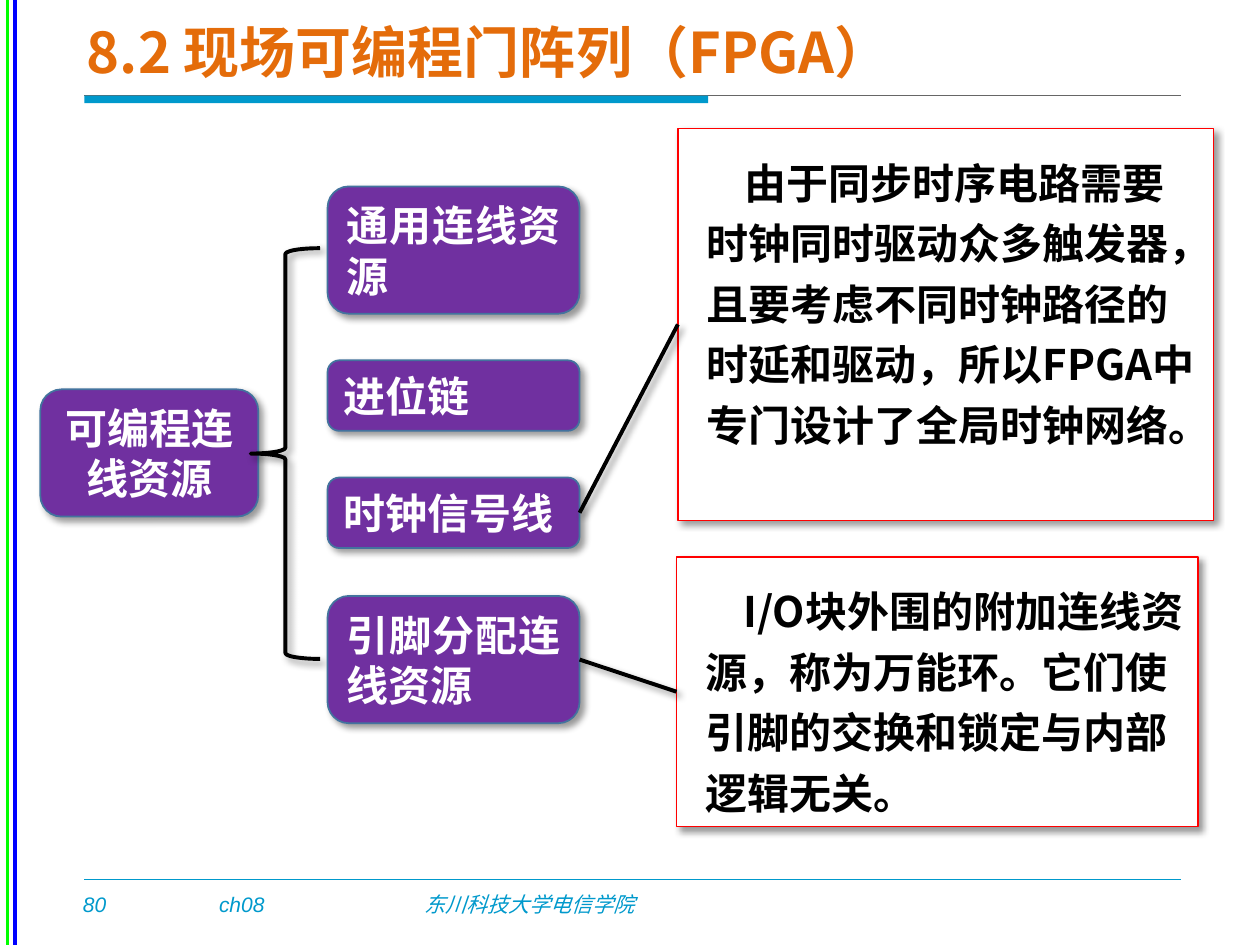
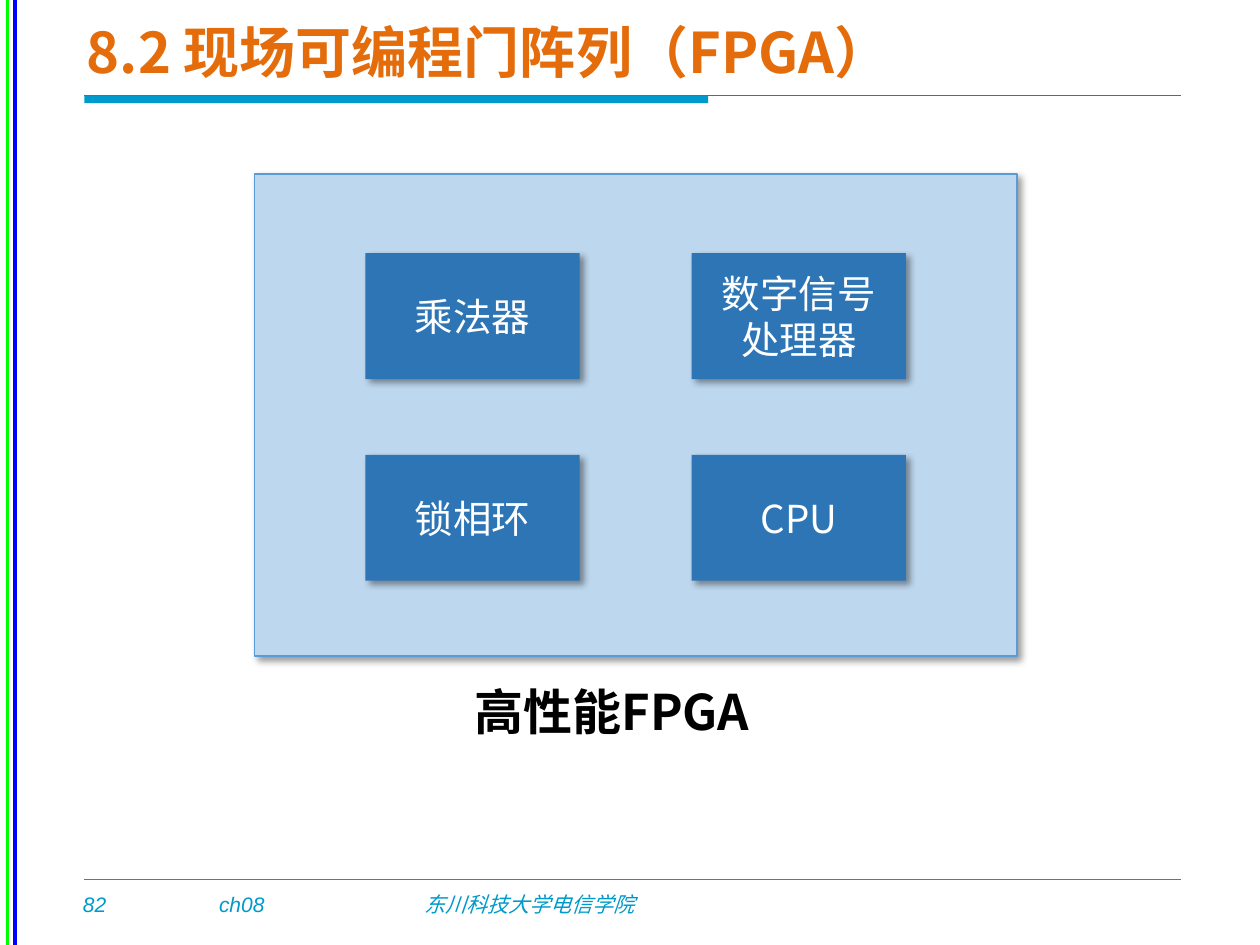
from lxml import etree
from pptx import Presentation
from pptx.dml.color import RGBColor
from pptx.enum.shapes import MSO_CONNECTOR, MSO_SHAPE
from pptx.enum.text import MSO_ANCHOR, MSO_AUTO_SIZE, PP_ALIGN
from pptx.oxml import parse_xml
from pptx.oxml.ns import nsdecls, qn
from pptx.util import Inches, Pt

STRAIGHT = MSO_CONNECTOR.STRAIGHT
RECT, ROUND = MSO_SHAPE.RECTANGLE, MSO_SHAPE.ROUNDED_RECTANGLE
PROCESS, BRACE = MSO_SHAPE.FLOWCHART_PROCESS, MSO_SHAPE.LEFT_BRACE
TOP, MIDDLE = MSO_ANCHOR.TOP, MSO_ANCHOR.MIDDLE
LEFT, CENTER, JUSTIFY = PP_ALIGN.LEFT, PP_ALIGN.CENTER, PP_ALIGN.JUSTIFY
FIT = MSO_AUTO_SIZE.SHAPE_TO_FIT_TEXT
SITE_LEFT, SITE_RIGHT = 1, 3

COLORS = {
    "title": "E46C0A", "accent": "0099CC", "rule": "666666",
    "blue": "0000FF", "green": "00FF00", "red": "FF0000",
    "purple": "7030A0", "outline": "43739E", "black": "000000",
    "white": "FFFFFF", "panel": "BDD7EE", "panel_line": "5B9BD5",
    "block": "2E75B6",
}
CJK, LATIN = "Noto Sans CJK SC", "Arial"
TITLE = "8.2 现场可编程门阵列（FPGA）"
CHAPTER, SCHOOL = "ch08", "东川科技大学电信学院"
SHADOW = (
    f'<a:effectLst {nsdecls("a")}><a:outerShdw blurRad="{Pt(4)}" '
    f'dist="{Pt(3)}" dir="2700000" algn="tl" rotWithShape="0">'
    '<a:srgbClr val="000000"><a:alpha val="40000"/></a:srgbClr>'
    '</a:outerShdw></a:effectLst>'
)


def rgb(name):
    return RGBColor.from_string(COLORS[name])


class Deck:
    def __init__(self):
        self.prs = Presentation()
        self.prs.slide_width, self.prs.slide_height = Inches(10), Inches(7.5)
        self.s = None

    def slide(self, number):
        self.s = self.prs.slides.add_slide(self.prs.slide_layouts[6])
        # Stripes at the left edge
        self.line(0.12, 0, 0.12, 7.5, "blue", 2)
        self.line(0.06, 0, 0.06, 7.5, "green", 2)
        # Title and its rule
        self.line(0.67, 0.76, 9.37, 0.76, "rule", 0.5)
        self.shape(RECT, 0.67, 0.76, 4.95, 0.06, "accent", shadow=False)
        self.text(TITLE, 0.59, 0.05, 7.21, 0.71, 32, "title",
                  bold=True, anchor=MIDDLE)
        # Footer
        self.line(0.67, 6.98, 9.37, 6.98, "accent", 1)
        footer = ((str(number), 0.56, 0.41), (CHAPTER, 1.64, 0.8),
                  (SCHOOL, 3.27, 2.65))
        for words, x, w in footer:
            self.text(words, x, 7.03, w, 0.3, 12, "accent", font=LATIN,
                      italic=True)

    def effects(self, element, shadow):
        """Give a shape or connector the soft shadow, or none."""
        sp_pr = element._element.spPr
        for old in sp_pr.findall(qn("a:effectLst")):
            sp_pr.remove(old)
        if shadow:
            sp_pr.append(parse_xml(SHADOW))
        else:
            etree.SubElement(sp_pr, qn("a:effectLst"))

    def line(self, x1, y1, x2, y2, color, width, shadow=False):
        cxn = self.s.shapes.add_connector(
            STRAIGHT, Inches(x1), Inches(y1), Inches(x2), Inches(y2))
        cxn.line.color.rgb = rgb(color)
        cxn.line.width = Pt(width)
        self.effects(cxn, shadow)
        return cxn

    def link(self, source, target):
        """Join the right side of one box to the left side of another."""
        cxn = self.line(0, 0, 1, 1, "black", 2.25, shadow=True)
        cxn.begin_connect(source, SITE_RIGHT)
        cxn.end_connect(target, SITE_LEFT)

    def shape(self, kind, x, y, w, h, fill=None, line=None, width=1,
              shadow=True):
        sp = self.s.shapes.add_shape(
            kind, Inches(x), Inches(y), Inches(w), Inches(h))
        sp.shadow.inherit = False
        if fill:
            sp.fill.solid()
            sp.fill.fore_color.rgb = rgb(fill)
        else:
            sp.fill.background()
        if line:
            sp.line.color.rgb = rgb(line)
            sp.line.width = Pt(width)
        else:
            sp.line.fill.background()
        self.effects(sp, shadow)
        return sp

    def label(self, sp, words, size, color, font=CJK, bold=False,
              italic=False, align=LEFT, anchor=TOP):
        tf = sp.text_frame
        tf.word_wrap = True
        tf.vertical_anchor = anchor
        p = tf.paragraphs[0]
        p.alignment = align
        r = p.add_run()
        r.text = words
        r.font.size, r.font.name = Pt(size), font
        r.font.bold, r.font.italic = bold, italic
        r.font.color.rgb = rgb(color)
        etree.SubElement(r._r.get_or_add_rPr(), qn("a:ea"), typeface=CJK)
        return p

    def text(self, words, x, y, w, h, size, color, **style):
        sp = self.s.shapes.add_textbox(
            Inches(x), Inches(y), Inches(w), Inches(h))
        return self.label(sp, words, size, color, **style)

    def resource(self, words, x, y, w, h, align=JUSTIFY):
        sp = self.shape(ROUND, x, y, w, h, "purple", "outline")
        self.label(sp, words, 24, "white", bold=True, align=align,
                   anchor=MIDDLE)
        sp.text_frame.auto_size = FIT
        return sp

    def note(self, words, x, y, w, h):
        sp = self.shape(PROCESS, x, y, w, h, "white", "red")
        p = self.label(sp, words, 24, "black", bold=True)
        tf = sp.text_frame
        tf.margin_left, tf.margin_right = Inches(0.23), Inches(0.08)
        tf.margin_top = Inches(0.15)
        p.line_spacing, p.space_before = 1.2, Pt(12)
        p._p.get_or_add_pPr().set("indent", str(Inches(0.3)))
        return sp

    def block(self, words, x, y):
        sp = self.shape(RECT, x, y, 1.7, 1, "block")
        self.label(sp, words, 22, "white", align=CENTER, anchor=MIDDLE)


def routing_slide(deck):
    deck.slide(80)
    # Tree of routing resources
    deck.resource("可编程连线资源", 0.32, 3.09, 1.73, 1.01, CENTER)
    deck.shape(BRACE, 1.99, 1.97, 0.55, 3.26, line="black", width=2.25)
    rows = (("通用连线资源", 1.48, 1.01), ("进位链", 2.86, 0.56),
            ("时钟信号线", 3.79, 0.56), ("引脚分配连线资源", 4.73, 1.01))
    boxes = [deck.resource(words, 2.6, y, 2, h) for words, y, h in rows]
    # Explanations
    clock = deck.note("由于同步时序电路需要时钟同时驱动众多触发器，且要考虑不同"
                      "时钟路径的时延和驱动，所以FPGA中专门设计了全局时钟网络。",
                      5.38, 1.02, 4.25, 3.11)
    pins = deck.note("I/O块外围的附加连线资源，称为万能环。它们使引脚的交换和"
                     "锁定与内部逻辑无关。", 5.37, 4.42, 4.14, 2.14)
    deck.link(boxes[2], clock)
    deck.link(boxes[3], pins)


def blocks_slide(deck):
    deck.slide(82)
    # Chip with a grid of embedded blocks
    deck.shape(RECT, 2.02, 1.38, 6.05, 3.83, "panel", "panel_line")
    blocks = ("乘法器", "数字信号处理器", "锁相环", "CPU")
    for i, words in enumerate(blocks):
        row, col = divmod(i, 2)
        deck.block(words, 2.9 + 2.59 * col, 2.01 + 1.6 * row)
    # Caption
    p = deck.text("高性能FPGA", 3.39, 5.36, 2.93, 0.57, 28, "black",
                  bold=True, align=CENTER)
    p.space_before = Pt(5.6)


def main():
    deck = Deck()
    routing_slide(deck)
    blocks_slide(deck)
    deck.prs.save("out.pptx")


if __name__ == "__main__":
    main()
